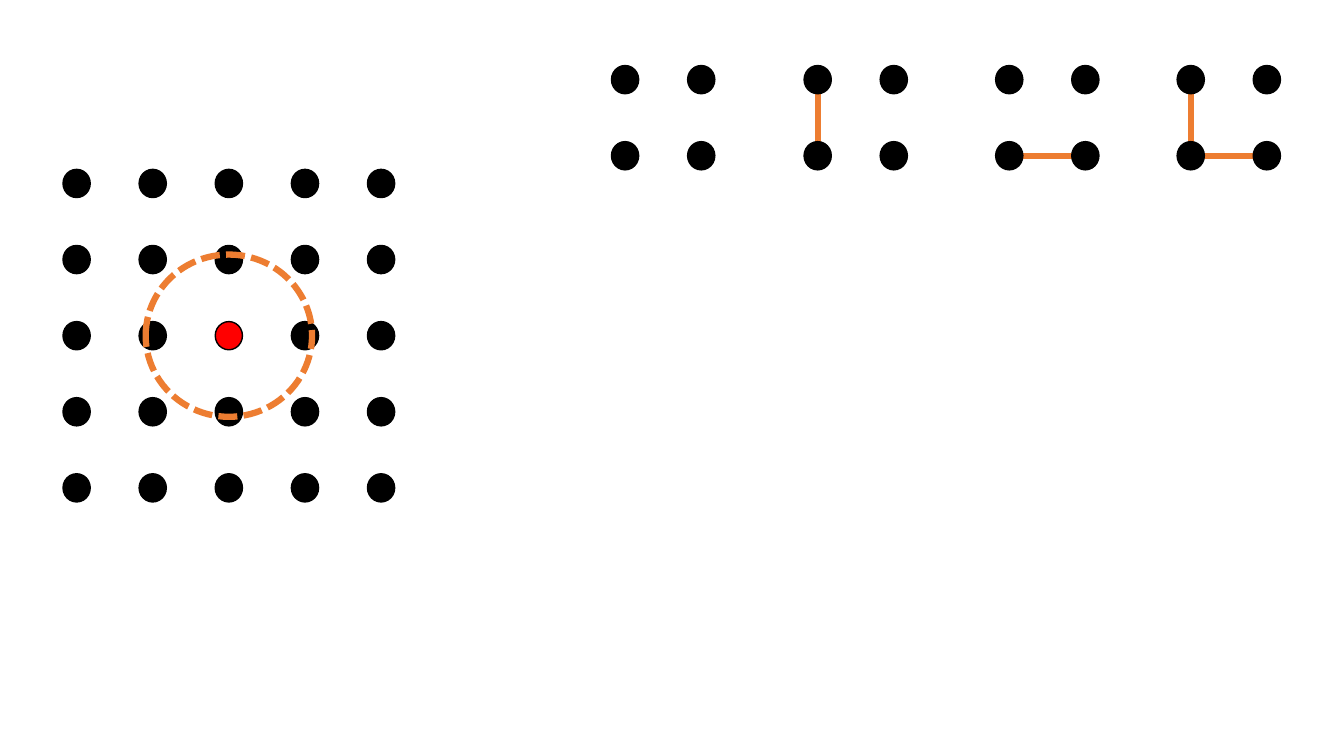
from lxml import etree
from pptx import Presentation, util as u
from pptx.dml.color import RGBColor
from pptx.enum import dml, shapes
from pptx.oxml import ns

COLORS = {"dot": "000000", "centre": "FF0000", "link": "ED7D31"}
PITCH = 3.02 / 4          # inches between neighbouring dots
DOT_SIZE = (0.27, 0.28)
RING_SIZE = (1.65, 1.61)
THIN, THICK = 1, 4.5      # line widths in points


class DotBoard:
    """Draws dots, rings and links at columns and rows of a grid."""

    def __init__(self, slide):
        self.slide = slide

    def point(self, origin, column, row):
        return origin[0] + column * PITCH, origin[1] + row * PITCH

    def style_line(self, line, color, width):
        line.color.rgb = RGBColor.from_string(COLORS[color])
        line.width = u.Pt(width)

    def ellipse(self, origin, column, row, size):
        x, y = self.point(origin, column, row)
        width, height = size
        shape = self.slide.shapes.add_shape(
            shapes.MSO_SHAPE.OVAL, u.Inches(x - width / 2), u.Inches(y - height / 2),
            u.Inches(width), u.Inches(height))
        shape.shadow.inherit = False
        return shape

    def dot(self, origin, column, row, color="dot"):
        shape = self.ellipse(origin, column, row, DOT_SIZE)
        shape.fill.solid()
        shape.fill.fore_color.rgb = RGBColor.from_string(COLORS[color])
        self.style_line(shape.line, "dot", THIN)

    def ring(self, origin, column, row):
        shape = self.ellipse(origin, column, row, RING_SIZE)
        shape.fill.background()
        self.style_line(shape.line, "link", THICK)
        # SQUARE_DOT is written as sysDot, so the preset is set to sysDash
        shape.line.dash_style = dml.MSO_LINE.ROUND_DOT
        shape.line._ln.find(ns.qn("a:prstDash")).set("val", "sysDash")

    def link(self, origin, start, end):
        ends = [u.Inches(value) for cell in (start, end)
                for value in self.point(origin, *cell)]
        connector = self.slide.shapes.add_connector(shapes.MSO_CONNECTOR.STRAIGHT, *ends)
        self.style_line(connector.line, "link", THICK)
        etree.SubElement(connector._element.spPr, ns.qn("a:effectLst"))

    def lattice(self, origin, count, centre=None):
        for row in range(count):
            for column in range(count):
                color = "centre" if (column, row) == centre else "dot"
                self.dot(origin, column, row, color)


# Link ends reach a little past the dot centres, hidden behind the dots
VERTICAL = ((0, -0.13), (0, 1.13))
HORIZONTAL = ((1.18, 1), (-0.13, 1))

# Each block: centre of its top left dot, and its links
BLOCKS = [
    ((6.2, 0.79), []),
    ((8.11, 0.79), [VERTICAL]),
    ((10.01, 0.79), [HORIZONTAL]),
    ((11.81, 0.79), [VERTICAL, HORIZONTAL]),
]
LATTICE_ORIGIN = (0.76, 1.82)
LATTICE_CENTRE = (2, 2)


def main():
    presentation = Presentation()
    presentation.slide_width = u.Inches(13.33)
    presentation.slide_height = u.Inches(7.5)
    slide = presentation.slides.add_slide(presentation.slide_layouts[6])
    board = DotBoard(slide)

    # Links lie behind all the dots
    for origin, links in BLOCKS:
        for start, end in links:
            board.link(origin, start, end)

    # Five by five lattice with its centre and neighbourhood
    board.lattice(LATTICE_ORIGIN, 5, LATTICE_CENTRE)
    board.ring(LATTICE_ORIGIN, *LATTICE_CENTRE)

    # Four two by two blocks
    for origin, _ in BLOCKS:
        board.lattice(origin, 2)

    presentation.save("out.pptx")


if __name__ == "__main__":
    main()
